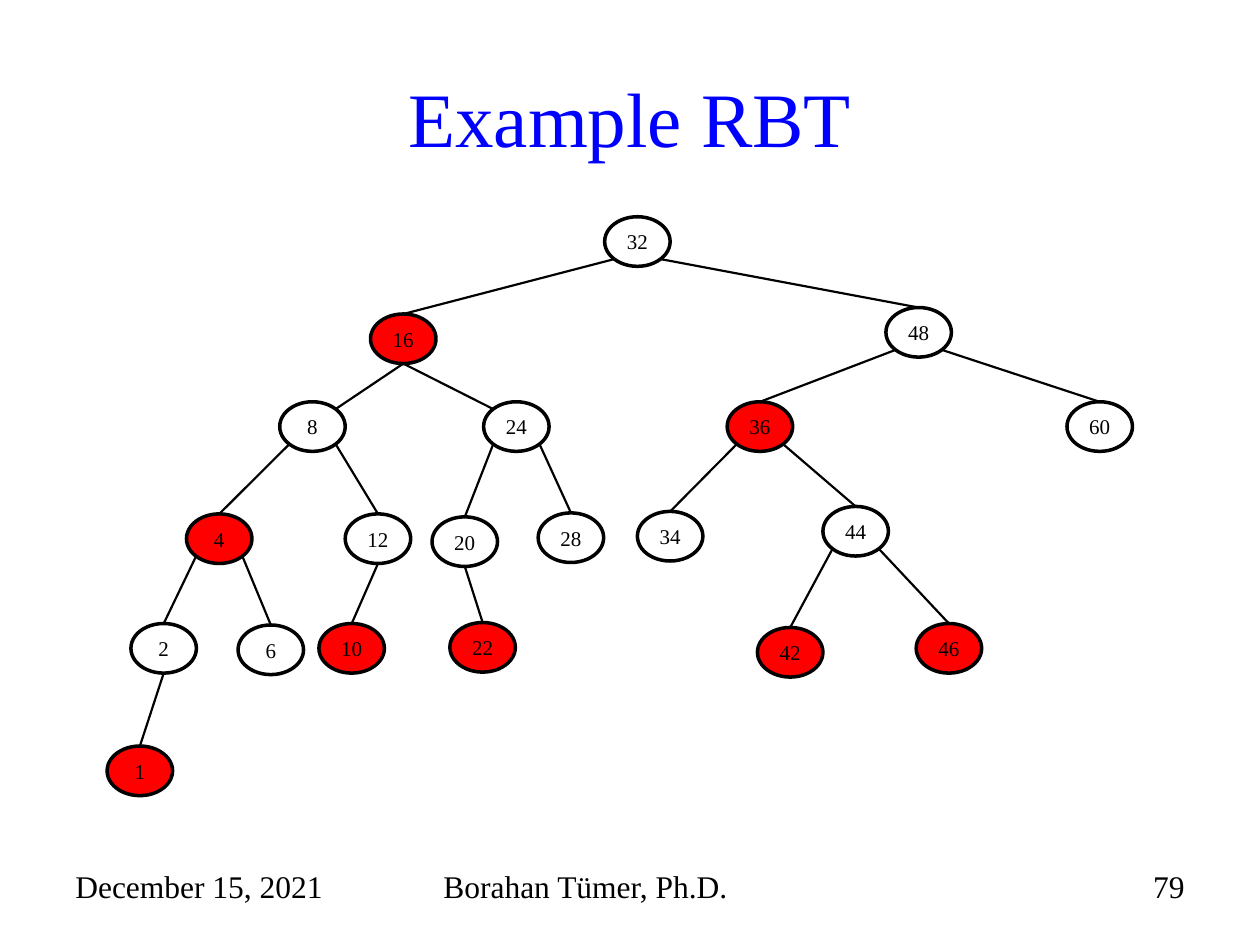
from math import sqrt

from lxml.etree import SubElement
from pptx import Presentation
from pptx.dml.color import RGBColor
from pptx.enum.shapes import MSO_CONNECTOR, MSO_SHAPE
from pptx.enum.text import MSO_ANCHOR, PP_ALIGN
from pptx.oxml.ns import qn
from pptx.util import Cm, Pt

FONT = "Times New Roman"
COLORS = {"title": "0000FF", "ink": "000000", "red": "FF0000"}
NODE_WIDTH, NODE_HEIGHT = 1.32, 1.0

# Key: left and top of the node within the tree box, in cm
NODES = {
    32: (10.03, 0),
    16: (5.31, 1.96), 48: (15.7, 1.83),
    8: (3.48, 3.73), 24: (7.59, 3.73), 36: (12.5, 3.73), 60: (19.35, 3.73),
    4: (1.6, 5.99), 12: (4.8, 5.99), 20: (6.55, 6.05), 28: (8.69, 5.97),
    34: (10.69, 5.94), 44: (14.43, 5.84),
    2: (0.48, 8.2), 6: (2.64, 8.23), 10: (4.27, 8.2), 22: (6.91, 8.18),
    42: (13.11, 8.28), 46: (16.31, 8.2),
    1: (0, 10.67),
}
RED_KEYS = {16, 36, 4, 10, 22, 42, 46, 1}
CHILDREN = {
    32: (16, 48), 16: (8, 24), 48: (36, 60), 8: (4, 12), 24: (20, 28),
    36: (34, 44), 4: (2, 6), 12: (10,), 20: (22,), 44: (42, 46), 2: (1,),
}
# Both edges of this node leave from its bottom and meet the children's corners
FORK_KEY = 16


def color(name):
    return RGBColor.from_string(COLORS[name])


def write(frame, text, size, align, color_name="ink"):
    para = frame.paragraphs[0]
    para.alignment = align
    span = para.add_run()
    span.text = text
    span.font.name = FONT
    span.font.size = Pt(size)
    span.font.color.rgb = color(color_name)


def place_title(page, left, top, width, height):
    title = page.shapes.title
    title.left, title.top, title.width, title.height = map(Cm, (left, top, width, height))
    title.text_frame.vertical_anchor = MSO_ANCHOR.MIDDLE
    write(title.text_frame, "Example RBT", 44, PP_ALIGN.CENTER, "title")


def add_node(page, key, left, top):
    node = page.shapes.add_shape(
        MSO_SHAPE.OVAL, Cm(left), Cm(top), Cm(NODE_WIDTH), Cm(NODE_HEIGHT))
    node.shadow.inherit = False
    if key in RED_KEYS:
        node.fill.solid()
        node.fill.fore_color.rgb = color("red")
    else:
        node.fill.background()
    node.line.color.rgb = color("ink")
    node.line.width = Pt(2)
    frame = node.text_frame
    frame.margin_left = frame.margin_right = frame.margin_top = frame.margin_bottom = 0
    frame.word_wrap = False
    frame.vertical_anchor = MSO_ANCHOR.MIDDLE
    write(frame, str(key), 12, PP_ALIGN.CENTER)
    return node


def rim_point(node, across, down):
    """Point on the node's rim in the direction given by -1, 0 or 1 per axis."""
    scale = 2 * sqrt(across ** 2 + down ** 2)
    return (round(node.left + node.width * (0.5 + across / scale)),
            round(node.top + node.height * (0.5 + down / scale)))


def add_edge(page, parent, child, side, forked):
    start = rim_point(parent, 0 if forked else side, 1)
    end = rim_point(child, -side if forked else 0, -1)
    edge = page.shapes.add_connector(MSO_CONNECTOR.STRAIGHT, *start, *end)
    if not forked:
        edge.end_connect(child, 0)
    edge.line.color.rgb = color("ink")
    edge.line.width = Pt(1.25)
    SubElement(edge.element.spPr, qn("a:effectLst"))


def place_tree(page, left, top):
    nodes = {key: add_node(page, key, left + x, top + y)
             for key, (x, y) in NODES.items()}
    for key, children in CHILDREN.items():
        for child in children:
            # An only child hangs from the bottom of its parent
            side = 0 if len(children) == 1 else (-1 if child < key else 1)
            add_edge(page, nodes[key], nodes[child], side, key == FORK_KEY)


def place_footer(page, left, top, height):
    parts = [
        (0, 5.92, "December 15, 2021", PP_ALIGN.LEFT),
        (7.42, 8.05, "Borahan Tümer, Ph.D.", PP_ALIGN.LEFT),
        (16.94, 5.92, "79", PP_ALIGN.RIGHT),
    ]
    for offset, width, text, align in parts:
        box = page.shapes.add_textbox(Cm(left + offset), Cm(top), Cm(width), Cm(height))
        box.text_frame.word_wrap = True
        write(box.text_frame, text, 18, align)


def main():
    deck = Presentation()
    deck.slide_width, deck.slide_height = Cm(25.4), Cm(19.05)
    page = deck.slides.add_slide(deck.slide_layouts[5])
    place_title(page, 1.27, 0.76, 22.86, 3.18)
    place_tree(page, 2.16, 4.37)
    place_footer(page, 1.27, 17.35, 1.32)
    deck.save("out.pptx")


if __name__ == "__main__":
    main()
